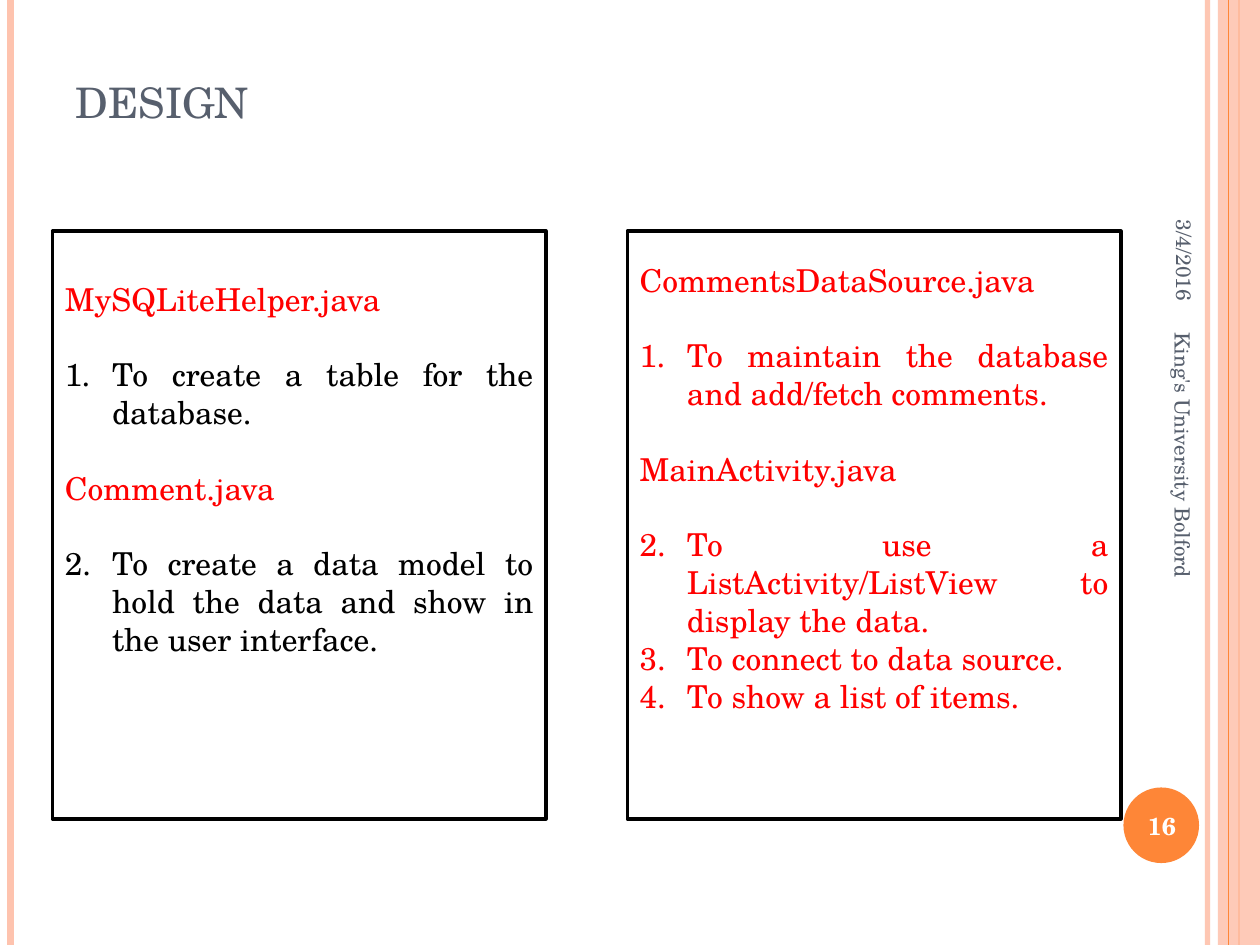
from lxml import etree
from pptx import Presentation
from pptx.dml.color import RGBColor
from pptx.enum.shapes import MSO_CONNECTOR, MSO_SHAPE
from pptx.enum.text import MSO_ANCHOR, PP_ALIGN
from pptx.oxml.ns import qn
from pptx.util import Pt

STRAIGHT = MSO_CONNECTOR.STRAIGHT
RECTANGLE, OVAL = MSO_SHAPE.RECTANGLE, MSO_SHAPE.OVAL
TOP, MIDDLE, BOTTOM = MSO_ANCHOR.TOP, MSO_ANCHOR.MIDDLE, MSO_ANCHOR.BOTTOM
LEFT, CENTER, RIGHT = PP_ALIGN.LEFT, PP_ALIGN.CENTER, PP_ALIGN.RIGHT
JUSTIFY = PP_ALIGN.JUSTIFY

FONT = "TeX Gyre Schola"
PEACH = RGBColor(0xFE, 0xC3, 0xAE)
ORANGE = RGBColor(0xFE, 0x86, 0x37)
SLATE = RGBColor(0x57, 0x5F, 0x6D)
RED = RGBColor(0xFF, 0, 0)
BLACK = RGBColor(0, 0, 0)
WHITE = RGBColor(0xFF, 0xFF, 0xFF)
LINE_PITCH = 21.6


def set_opacity(fill, percent):
    """Add an alpha value to the solid colour found inside a fill or line."""
    color = next(fill.iter(qn("a:srgbClr")))
    etree.SubElement(color, qn("a:alpha"), val=str(percent * 1000))


def add_span(para, text, size, color, bold=False):
    span = para.add_run()
    span.text = text
    span.font.name = FONT
    span.font.size = Pt(size)
    span.font.bold = bold
    span.font.color.rgb = color
    return span


deck = Presentation()
deck.slide_width, deck.slide_height = Pt(720), Pt(540)
page = deck.slides.add_slide(deck.slide_layouts[5])
shapes = page.shapes

# Vertical stripes at the page edges: x, width, colour, opacity
band = None
for x, width, color, opacity in [
    (690, 3, PEACH, 93),
    (6, 4.5, PEACH, 100),
    (708, 1.5, ORANGE, 100),
    (702, 0.75, ORANGE, 100),
]:
    if x == 702:
        # The wide band lies beneath the thinnest stripe
        band = shapes.add_shape(RECTANGLE, Pt(696), Pt(0), Pt(24), Pt(540))
        band.shadow.inherit = False
        band.fill.solid()
        band.fill.fore_color.rgb = PEACH
        band.line.fill.background()
        set_opacity(band.element.spPr, 87)
    stripe = shapes.add_connector(STRAIGHT, Pt(x), Pt(0), Pt(x), Pt(540))
    stripe.line.width = Pt(width)
    stripe.line.color.rgb = color
    etree.SubElement(stripe.element.spPr, qn("a:effectLst"))
    if opacity < 100:
        set_opacity(stripe.element.spPr, opacity)

# Page number disc
disc = shapes.add_shape(OVAL, Pt(642), Pt(450), Pt(43.2), Pt(43.2))
disc.shadow.inherit = False
disc.fill.solid()
disc.fill.fore_color.rgb = ORANGE
disc.line.fill.background()

# Title
title = shapes.title
title.left, title.top, title.width, title.height = Pt(36), Pt(21.6), Pt(588), Pt(56)
title.text_frame.vertical_anchor = BOTTOM
title_para = title.text_frame.paragraphs[0]
title_para.alignment = LEFT
title_span = add_span(title_para, "design", 30, SLATE)
title_span.font._element.set("cap", "small")

# Date, footer and page number
for text, left, top, width, height, turn, align, size, color, bold in [
    ("3/4/2016", 597.6, 85, 158.4, 30, 90, RIGHT, 12, SLATE, False),
    ("King's University Bolford", 550, 294.5, 252, 28.8, 90, LEFT, 12, SLATE, False),
    ("16", 640, 451.5, 48, 41, 0, CENTER, 14, WHITE, True),
]:
    box = shapes.add_textbox(Pt(left), Pt(top), Pt(width), Pt(height))
    box.rotation = turn
    box.text_frame.word_wrap = True
    box.text_frame.vertical_anchor = MIDDLE
    para = box.text_frame.paragraphs[0]
    para.alignment = align
    add_span(para, text, size, color, bold)

# Class boxes: left edge, top inset, item colour, headings with their items
for left, inset, item_color, sections in [
    (30, 27.8, BLACK, [
        ("MySQLiteHelper.java", ["To create a table for the database."]),
        ("Comment.java", ["To create a data model to hold the data and show in "
                          "the user interface."]),
    ]),
    (358.5, 17, RED, [
        ("CommentsDataSource.java", ["To maintain the database and add/fetch comments."]),
        ("MainActivity.java", ["To use a ListActivity/ListView to display the data.",
                               "To connect to data source.",
                               "To show a list of items."]),
    ]),
]:
    box = shapes.add_shape(RECTANGLE, Pt(left), Pt(132), Pt(282), Pt(336))
    box.shadow.inherit = False
    box.fill.background()
    box.line.color.rgb = BLACK
    box.line.width = Pt(2)
    frame = box.text_frame
    frame.word_wrap = True
    frame.vertical_anchor = TOP
    frame.margin_top = Pt(inset)

    number = 0
    for index, (heading, items) in enumerate(sections):
        para = frame.add_paragraph() if index else frame.paragraphs[0]
        para.alignment = JUSTIFY
        para.space_before = Pt(LINE_PITCH if index else 0)
        para.space_after = Pt(LINE_PITCH)
        add_span(para, heading, 18, RED)

        # Numbering runs on from one heading to the next
        first_number = number + 1
        for item in items:
            number += 1
            para = frame.add_paragraph()
            para.alignment = JUSTIFY
            add_span(para, item, 18, item_color)
            props = para._p.get_or_add_pPr()
            props.set("marL", str(Pt(27)))
            props.set("indent", str(-Pt(27)))
            etree.SubElement(props, qn("a:buFont"), typeface="+mj-lt")
            etree.SubElement(props, qn("a:buAutoNum"), type="arabicPeriod",
                             startAt=str(first_number))

deck.save("out.pptx")
